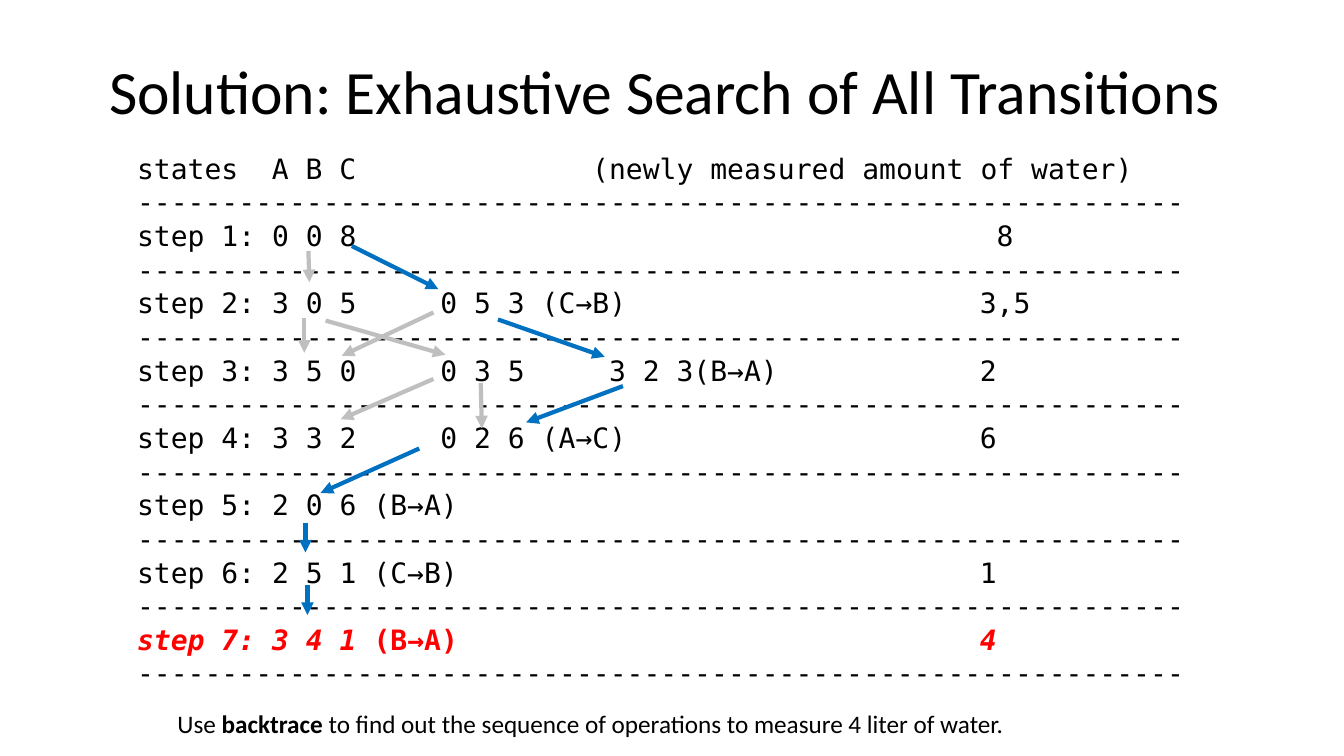
from lxml.etree import SubElement as Sub
from pptx import Presentation as Deck
from pptx.dml.color import RGBColor as Rgb
from pptx.enum.shapes import MSO_CONNECTOR as Conn
from pptx.enum.text import MSO_ANCHOR as Anchor, MSO_AUTO_SIZE as Fit, PP_ALIGN as Align
from pptx.oxml.ns import qn
from pptx.util import Pt

HUES = {"ink": "000000", "hot": "FF0000", "blue": "0070C0", "gray": "BFBFBF"}
CHAR = 12.04
RULE = "-" * 62

ROWS = [
    ("states\tA B C\t(newly measured amount of water)", (8, 27)),
    ("step 1: 0 0 8\t8", (51,)),
    ("step 2: 3 0 5\t0 5 3 (C→B)\t3,5", (18, 50)),
    ("step 3: 3 5 0\t0 3 5\t3 2 3(B→A)\t2", (18, 28, 50)),
    ("step 4: 3 3 2\t0 2 6 (A→C)\t6", (18, 50)),
    ("step 5: 2 0 6 (B→A)", ()),
    ("step 6: 2 5 1 (C→B)\t1", (50,)),
]
BOLD = {"bold": True}
SLANT = {"bold": True, "italic": True}
LAST = [("step 7: 3 4 1 ", SLANT), ("(B→A)\t", BOLD), ("4", SLANT)]
NOTE = [
    ("Use ", {}),
    ("backtrace", BOLD),
    (" to find out the sequence of operations to measure 4 liter of water.", {}),
]

ARROWS = {
    "gray": [
        (217.4, 226.8, 217.4, 252),
        (309.6, 223.2, 244.1, 254.2),
        (309.6, 270.7, 243.4, 299.5),
        (220.3, 179.3, 221, 201.6),
        (343.4, 273.6, 344.2, 306),
        (232.6, 229, 318.2, 253.4),
    ],
    "blue": [
        (355.7, 228.2, 432, 254.9),
        (445, 275.8, 375.8, 301.7),
        (299.5, 320.4, 229, 352.1),
        (218.2, 373.7, 218.2, 394.6),
        (219.6, 417.6, 219.6, 439.2),
        (251.3, 175.7, 313.2, 206.6),
    ],
}


class Page:
    """Hold the style and the current slide."""

    def __init__(self, deck):
        self.slide = deck.slides.add_slide(deck.slide_layouts[5])
        self.sans = {"name": "Calibri", "size": Pt(18)}
        self.mono = {"name": "DejaVu Sans Mono", "size": Pt(20)}

    def put(self, item, form):
        for key, val in form.items():
            setattr(item, key, val)

    def frame(self, shape, form):
        sides = ("left", "top", "right", "bottom")
        pads = {f"margin_{side}": Pt(3.6) for side in sides}
        self.put(shape.text_frame, {**pads, **form})
        return shape.text_frame

    def fill(self, para, runs, font, hue="ink"):
        for text, form in runs:
            run = para.add_run()
            run.text = text
            self.put(run.font, {**font, "bold": False, "italic": False, **form})
            run.font.color.rgb = Rgb.from_string(HUES[hue])

    def title(self, text, box):
        shape = self.slide.shapes.title
        self.put(shape, dict(zip(("left", "top", "width", "height"), map(Pt, box))))
        form = {"vertical_anchor": Anchor.MIDDLE, "word_wrap": True, "auto_size": Fit.NONE}
        para = self.frame(shape, form).paragraphs[0]
        self.put(para, {"alignment": Align.CENTER, "line_spacing": 0.9})
        self.fill(para, [(text, {})], {**self.sans, "size": Pt(44)})

    def text(self, box, wrap):
        shape = self.slide.shapes.add_textbox(*map(Pt, box))
        return self.frame(shape, {"word_wrap": wrap, "auto_size": Fit.SHAPE_TO_FIT_TEXT})

    def trace(self, box):
        frame = self.text(box, True)
        lines = [([(text, {})], cols, "ink") for text, cols in ROWS]
        lines.append((LAST, (50,), "hot"))
        rule = ([(RULE, {})], (), "ink")
        lines = [line for row in lines for line in (row, rule)]
        for num, (runs, cols, hue) in enumerate(lines):
            para = frame.add_paragraph() if num else frame.paragraphs[0]
            if cols:
                tabs = Sub(para._p.get_or_add_pPr(), qn("a:tabLst"))
                for col in cols:
                    Sub(tabs, qn("a:tab"), pos=str(Pt(col * CHAR)), algn="l")
            para.line_spacing = Pt(24.05)
            self.fill(para, runs, self.mono, hue)

    def note(self, box):
        self.fill(self.text(box, False).paragraphs[0], NOTE, self.sans)

    def arrow(self, ends, hue):
        line = self.slide.shapes.add_connector(Conn.STRAIGHT, *map(Pt, ends))
        line.line.width = Pt(3)
        line.line.color.rgb = Rgb.from_string(HUES[hue])
        Sub(line.line._get_or_add_ln(), qn("a:tailEnd"), type="triangle")
        Sub(line._element.spPr, qn("a:effectLst"))


def main():
    deck = Deck()
    deck.slide_width, deck.slide_height = Pt(960), Pt(540)
    page = Page(deck)
    page.title("Solution: Exhaustive Search of All Transitions ", (66.2, 28.8, 828, 77))
    page.trace((94.3, 104.4, 776.9, 395.3))
    for hue, group in ARROWS.items():
        for ends in group:
            page.arrow(ends, hue)
    page.note((123.1, 502.6, 603.4, 28.8))
    deck.save("out.pptx")


if __name__ == "__main__":
    main()
